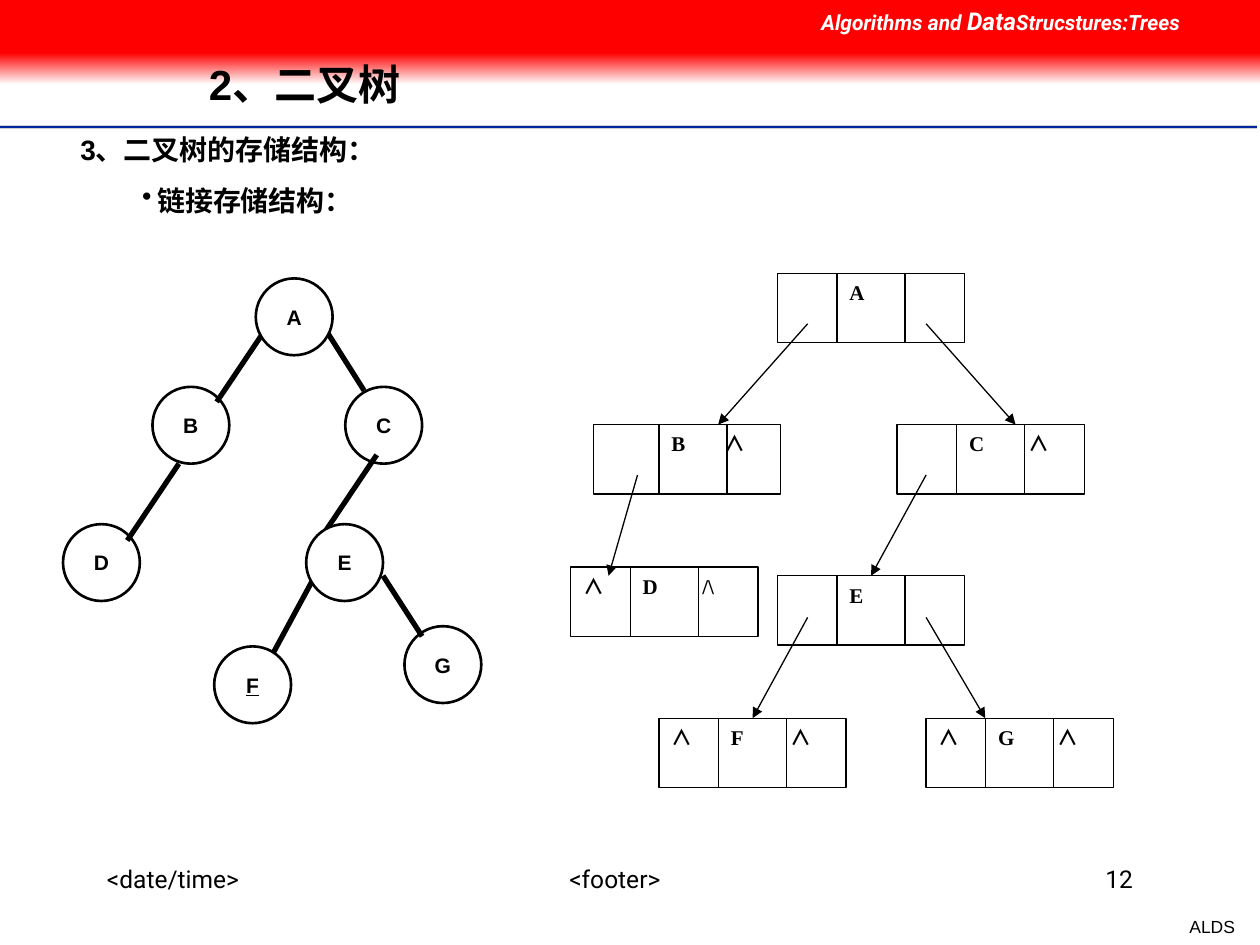
from dataclasses import dataclass
from typing import Optional

from lxml import etree
from pptx import Presentation
from pptx import util as u
from pptx.dml.color import RGBColor
from pptx.enum import shapes, text
from pptx.oxml import ns

BLACK = RGBColor(0x00, 0x00, 0x00)
WHITE = RGBColor(0xFF, 0xFF, 0xFF)
RED = RGBColor(0xFF, 0x00, 0x00)
FADE = RGBColor(0xFE, 0xFE, 0xFE)
SILVER = RGBColor(0xCE, 0xCE, 0xCE)
NAVY = RGBColor(0x00, 0x27, 0x9F)

SANS, SERIF, CJK, ROBOTO = "Arial", "Times New Roman", "Noto Sans CJK SC", "Roboto"
ALIGN = text.PP_ALIGN
ANCHOR = text.MSO_ANCHOR
NIL = "∧"

COLUMNS, ROWS = 100, 75
CELL_WIDTH, CELL_HEIGHT, CELL_STEP = 5.4, 5.5, 4.73
CIRCLE = 6.1

deck = Presentation()
deck.slide_width, deck.slide_height = u.Inches(10), u.Inches(7.5)
slide = deck.slides.add_slide(deck.slide_layouts[6])


@dataclass(frozen=True)
class Circle:
    label: str
    left: float
    top: float
    filled: bool = False
    underline: bool = False


@dataclass(frozen=True)
class Record:
    label: str
    left: float
    top: float
    left_mark: str = ""
    right_mark: str = ""
    label_shift: float = CELL_STEP


@dataclass(frozen=True)
class Line:
    x1: float
    y1: float
    x2: float
    y2: float
    target: Optional[str] = None


def across(columns: float) -> int:
    return round(deck.slide_width * columns / COLUMNS)


def down(rows: float) -> int:
    return round(deck.slide_height * rows / ROWS)


def area(left: float, top: float, width: float, height: float) -> tuple:
    return across(left), down(top), across(width), down(height)


def write(paragraph, words: str, *, size: float, font: str = SANS, color=BLACK,
          bold: bool = False, italic: bool = False, underline: bool = False,
          align=ALIGN.LEFT) -> None:
    paragraph.alignment = align
    run = paragraph.add_run()
    run.text = words
    face = run.font
    face.size, face.name, face.bold, face.italic = u.Pt(size), font, bold, italic
    face.underline = underline
    face.color.rgb = color
    latin = run._r.rPr.find(ns.qn("a:latin"))
    east_asian = etree.Element(ns.qn("a:ea"), typeface=CJK)
    latin.addnext(east_asian)


def text_frame(left: float, top: float, width: float, height: float, *,
               wrap: bool = True, anchor=ANCHOR.TOP):
    frame = slide.shapes.add_textbox(*area(left, top, width, height)).text_frame
    frame.word_wrap, frame.vertical_anchor = wrap, anchor
    return frame


def draw_shape(kind, bounds: tuple, *, fill=None, line=None, weight: float = 0.75):
    shape = slide.shapes.add_shape(kind, *area(*bounds))
    shape.shadow.inherit = False
    if fill is None:
        shape.fill.background()
    else:
        shape.fill.solid()
        shape.fill.fore_color.rgb = fill
    if line is None:
        shape.line.fill.background()
    else:
        shape.line.color.rgb, shape.line.width = line, u.Pt(weight)
    return shape


def draw_line(line: Line, *, color=BLACK, weight: float, arrow: bool = False):
    connector = slide.shapes.add_connector(
        shapes.MSO_CONNECTOR.STRAIGHT, across(line.x1), down(line.y1), across(line.x2), down(line.y2))
    connector.line.color.rgb, connector.line.width = color, u.Pt(weight)
    properties = connector._element.spPr
    etree.SubElement(properties, ns.qn("a:effectLst"))
    if arrow:
        etree.SubElement(properties.find(ns.qn("a:ln")), ns.qn("a:tailEnd"), type="triangle")
    return connector


def draw_circle(node: Circle) -> None:
    shape = draw_shape(shapes.MSO_SHAPE.OVAL, (node.left, node.top, CIRCLE, CIRCLE),
                       fill=WHITE if node.filled else None, line=BLACK, weight=1.5)
    frame = shape.text_frame
    frame.word_wrap, frame.vertical_anchor = False, ANCHOR.MIDDLE
    write(frame.paragraphs[0], node.label, size=12, bold=True,
          underline=node.underline, align=ALIGN.CENTER)


def draw_record(record: Record):
    cells = ((0, record.left_mark, CJK), (2 * CELL_STEP, record.right_mark, CJK),
             (record.label_shift, record.label, SERIF))
    for shift, words, font in cells:
        cell = draw_shape(shapes.MSO_SHAPE.RECTANGLE,
                          (record.left + shift, record.top, CELL_WIDTH, CELL_HEIGHT),
                          fill=WHITE, line=BLACK)
        if words:
            cell.text_frame.vertical_anchor = ANCHOR.TOP
            write(cell.text_frame.paragraphs[0], words, size=12, bold=True,
                  font=font if words != "/\\" else SERIF, align=ALIGN.JUSTIFY)
    return cell


def draw_master() -> None:
    for row, color, weight in ((10.1, SILVER, 2), (10.1, NAVY, 1), (10.3, WHITE, 1)):
        draw_line(Line(0, row, 99.8, row), color=color, weight=weight)
    fade = draw_shape(shapes.MSO_SHAPE.RECTANGLE, (0, 4.2, COLUMNS, 2.5), fill=RED)
    fade.fill.gradient()
    fade.fill.gradient_angle = 270
    for stop, color, position in zip(fade.fill.gradient_stops, (RED, FADE), (0, 1)):
        stop.color.rgb, stop.position = color, position
    draw_shape(shapes.MSO_SHAPE.RECTANGLE, (0, 0, COLUMNS, 4.2), fill=RED)
    course = text_frame(64.2, 0, 35.8, 3.4).paragraphs[0]
    for words, size in (("Algorithms and ", 12), ("Data", 14), ("Strucstures:Trees", 12)):
        write(course, words, size=size, font=ROBOTO, color=WHITE, bold=True, italic=True)
    for words, left, width, align in (("<date/time>", 7.5, 19.2, ALIGN.LEFT),
                                      ("<footer>", 34.2, 29.2, ALIGN.CENTER),
                                      ("12", 71.7, 19.2, ALIGN.RIGHT)):
        footer = text_frame(left, 68.1, width, 5)
        write(footer.paragraphs[0], words, size=14, font=ROBOTO, align=align)
    write(text_frame(93.4, 72.2, 5.6, 2.7, wrap=False).paragraphs[0], "ALDS",
          size=10, align=ALIGN.RIGHT)


def draw_headings() -> None:
    title = text_frame(15.6, 3.2, 75.5, 7.4, anchor=ANCHOR.MIDDLE).paragraphs[0]
    title.line_spacing = 0.9
    write(title, "2、二叉树", size=24, bold=True)
    outline = text_frame(0.4, 10, 72.1, 7.7)
    topic, detail = outline.paragraphs[0], outline.add_paragraph()
    for paragraph, level, margin, indent in ((topic, 1, 5, 0), (detail, 3, 11.1, -1.2)):
        paragraph.level = level
        settings = paragraph._p.get_or_add_pPr()
        settings.set("marL", str(across(margin)))
        settings.set("indent", str(across(indent)))
    etree.SubElement(detail._p.pPr, ns.qn("a:buChar"), char="•")
    detail.space_before = u.Pt(10)
    write(topic, "3、二叉树的存储结构：", size=16, bold=True)
    write(detail, "链接存储结构：", size=16, bold=True)


RECORDS = (Record("A", 61.7, 21.7), Record("B", 47.1, 33.7, "", NIL, 5.2),
           Record("D", 45.3, 45, NIL, "/\\"), Record("C", 71.2, 33.7, "", NIL),
           Record("E", 61.7, 45.7), Record("F", 52.3, 57, NIL, NIL),
           Record("G", 73.5, 57, NIL, NIL))
POINTERS = (Line(64.1, 25.7, 57, 33.7), Line(73.5, 25.7, 80.6, 33.7),
            Line(50.6, 37.7, 48.3, 45.7), Line(73.5, 37.7, 68.8, 45.7, "E"),
            Line(64.1, 49, 59.4, 57, "F"), Line(73.5, 49, 78.2, 57))
LOWER_CIRCLES = (Circle("G", 32.1, 49.7), Circle("F", 17, 51.3, underline=True),
                 Circle("D", 5, 41.6), Circle("C", 27.4, 30.7), Circle("B", 12.1, 30.7))
BRANCHES = (Line(30.4, 45.7, 33.5, 50.5), Line(25, 45.7, 21.7, 51.8),
            Line(21.1, 26.1, 17.2, 31.9), Line(14.2, 36.8, 10.1, 42.9),
            Line(25.8, 26.1, 28.9, 31), Line(29.9, 36.1, 25.8, 42.2))
UPPER_CIRCLES = (Circle("A", 20.3, 22.1, filled=True), Circle("E", 24.3, 41.6, filled=True))


def main() -> None:
    draw_master()
    draw_headings()
    label_cells = {record.label: draw_record(record) for record in RECORDS}
    for pointer in POINTERS:
        arrow = draw_line(pointer, weight=0.75, arrow=True)
        if pointer.target:
            arrow.end_connect(label_cells[pointer.target], 0)
    for node in LOWER_CIRCLES:
        draw_circle(node)
    for branch in BRANCHES:
        draw_line(branch, weight=3)
    for node in UPPER_CIRCLES:
        draw_circle(node)
    deck.save("out.pptx")


if __name__ == "__main__":
    main()
